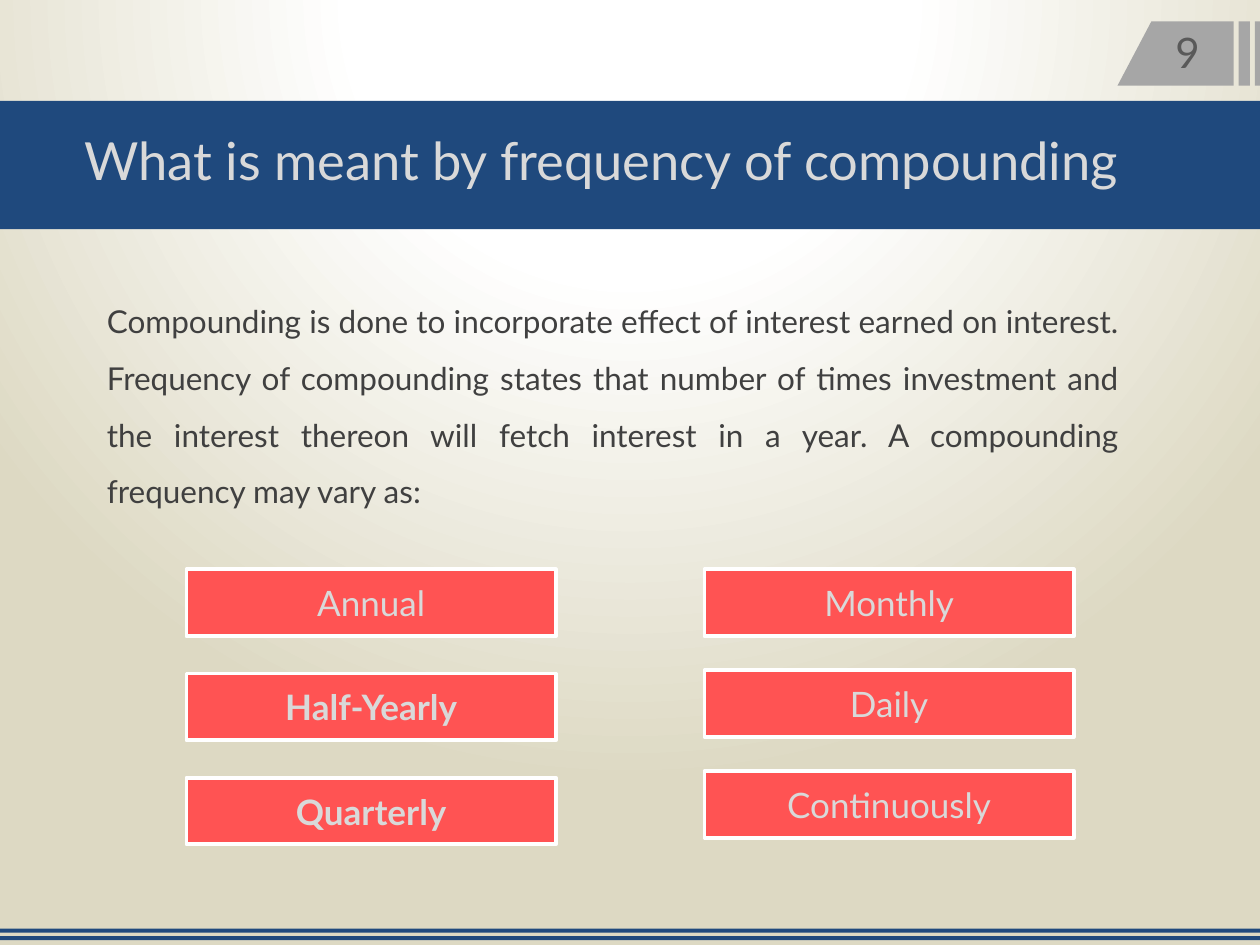
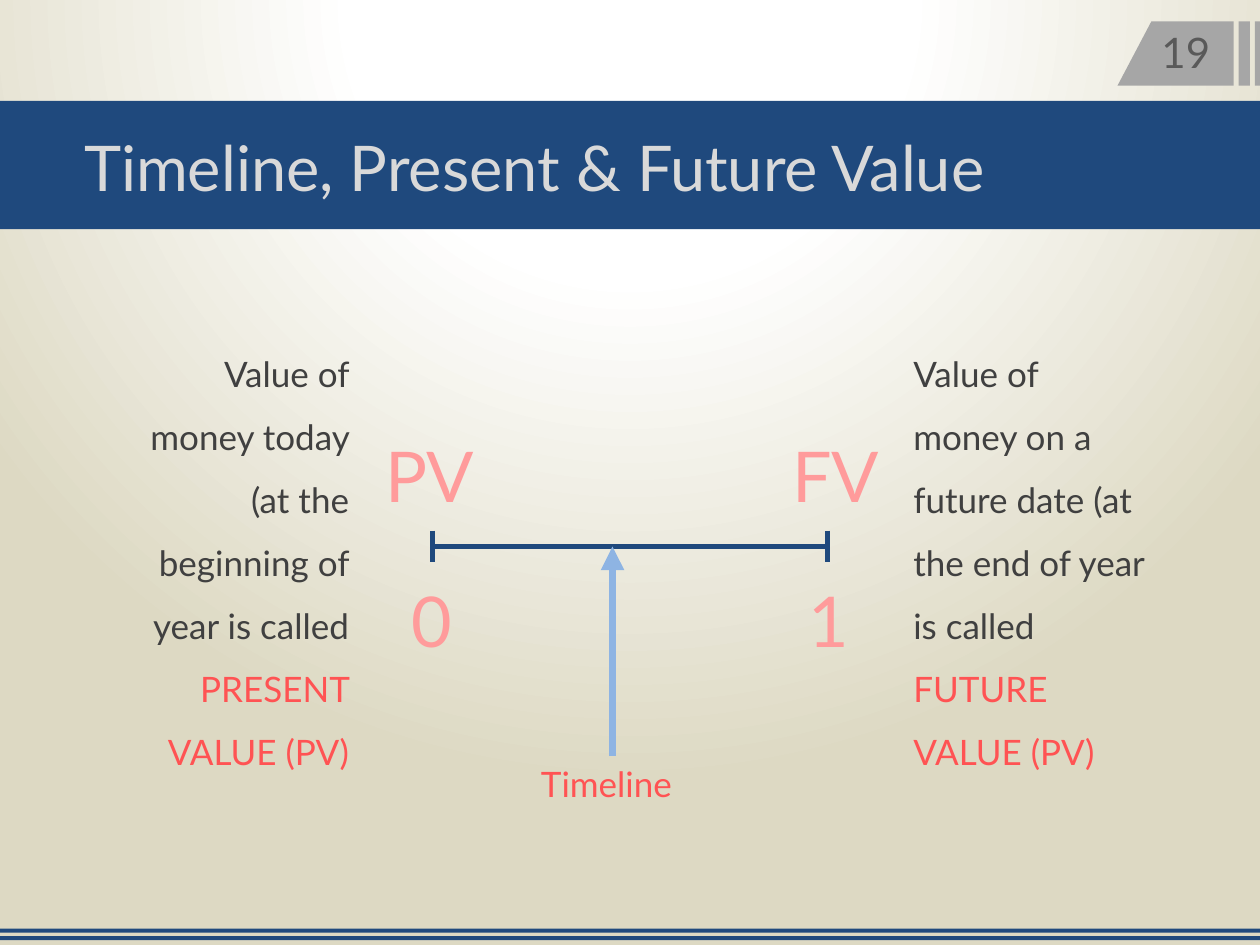
import pptx
import pptx.util
import pptx.dml.color
import pptx.enum.shapes
import pptx.enum.text
import pptx.oxml
import pptx.oxml.ns
from lxml import etree

Pt = pptx.util.Pt
RGB = pptx.dml.color.RGBColor.from_string
ALIGN = pptx.enum.text.PP_ALIGN
ANCHOR = pptx.enum.text.MSO_ANCHOR
RECT = pptx.enum.shapes.MSO_SHAPE.RECTANGLE
STRAIGHT = pptx.enum.shapes.MSO_CONNECTOR.STRAIGHT
qn = pptx.oxml.ns.qn

COLORS = {"navy": "1F497D", "tag": "A6A6A6", "title": "D9D9D9", "body": "404040",
          "number": "595959", "red": "FF5353", "pink": "FF9B9B", "sky": "8EB4E3",
          "white": "FFFFFF", "sand": "DDD9C3"}
WIDTH, HEIGHT = 720, 540


def write(sp, runs, size, align=ALIGN.LEFT, spacing=None, bold=None):
    """Fill one paragraph of sp with (text, colour name) runs."""
    tf = sp.text_frame
    tf.word_wrap = True
    p = tf.paragraphs[0]
    p.alignment = align
    p.line_spacing = spacing
    for text, color in runs:
        r = p.add_run()
        r.text = text
        for name, value in {"name": "Lato", "size": Pt(size), "bold": bold}.items():
            setattr(r.font, name, value)
        r.font.color.rgb = RGB(COLORS[color])


def add_line(s, x1, y1, x2, y2, color, width):
    line = s.shapes.add_connector(STRAIGHT, Pt(x1), Pt(y1), Pt(x2), Pt(y2))
    line.line.color.rgb = RGB(COLORS[color])
    line.line.width = Pt(width)
    etree.SubElement(line._element.spPr, qn("a:effectLst"))
    return line


prs = pptx.Presentation()
prs.slide_width, prs.slide_height = Pt(WIDTH), Pt(HEIGHT)

# Radial background, set on the master
prs.slide_master.background.fill.gradient()
grad = prs.slide_master._element.find(".//" + qn("p:bg")).find(".//" + qn("a:gradFill"))
for child in list(grad):
    grad.remove(child)
stops = etree.SubElement(grad, qn("a:gsLst"))
for pos, color in ((0, "white"), (35, "white"), (100, "sand")):
    stop = etree.SubElement(stops, qn("a:gs"), pos=str(pos * 1000))
    etree.SubElement(stop, qn("a:srgbClr"), val=COLORS[color])
glow = etree.SubElement(grad, qn("a:path"), path="circle")
etree.SubElement(glow, qn("a:fillToRect"), l="50000", t="-80000", r="50000", b="180000")

# Bands, footer rules, number tag and title of every slide
footer_rules = [[(0, y), (WIDTH, y), (WIDTH, y + 2.2), (0, y + 2.2)] for y in (530.7, 535)]
TAG_TOP, TAG_BOTTOM = 12.2, 49
number_tag = [[(left + slant, TAG_TOP), (right, TAG_TOP), (right, TAG_BOTTOM), (left, TAG_BOTTOM)]
              for left, right, slant in ((717.1, WIDTH, 0), (707.8, 714.2, 0), (638.6, 704.9, 19.4))]
headers = [("What is meant by frequency of compounding", 30, "9", 664.6, 32.4),
           ("Timeline, Present & Future Value", 36, "19", 656.6, 44)]
slides = []
for title, title_size, number, number_left, number_width in headers:
    s = prs.slides.add_slide(prs.slide_layouts[6])
    slides.append(s)
    decor = [(s.shapes.add_shape(RECT, 0, Pt(57.6), Pt(WIDTH), Pt(73.4)), "navy")]
    for outlines, color in ((footer_rules, "navy"), (number_tag, "tag")):
        x, y = outlines[0][0]
        builder = s.shapes.build_freeform(Pt(x), Pt(y))
        for outline in outlines:
            points = [(Pt(x), Pt(y)) for x, y in outline]
            if outline is not outlines[0]:
                builder.move_to(*points[0])
            builder.add_line_segments(points[1:], close=True)
        decor.append((builder.convert_to_shape(), color))
    for sp, color in decor:
        sp.shadow.inherit = False
        sp.fill.solid()
        sp.fill.fore_color.rgb = RGB(COLORS[color])
        sp.line.fill.background()
    sp = s.shapes.add_textbox(Pt(41), Pt(69.8), Pt(638), Pt(title_size * 1.44))
    write(sp, [(title, "title")], title_size)
    sp = s.shapes.add_textbox(Pt(number_left), Pt(11.5), Pt(number_width), Pt(36))
    write(sp, [(number, "number")], 24)

# Frequency of compounding
s = slides[0]
sp = s.shapes.add_textbox(Pt(54), Pt(158.4), Pt(592.6), Pt(134))
write(sp, [("Compounding is done to incorporate effect of interest earned on interest. "
            "Frequency of compounding states that number of times investment and the interest "
            "thereon will fetch interest in a year. A compounding frequency may vary as: ",
            "body")], 18, ALIGN.JUSTIFY, 1.5)
frequency_columns = [(106.6, 59.5, ("Annual", "Half-Yearly", "Quarterly")),
                     (402.6, 57.6, ("Monthly", "Daily", "Continuously"))]
for left, step, frequencies in frequency_columns:
    for row, frequency in enumerate(frequencies):
        sp = s.shapes.add_shape(RECT, Pt(left), Pt(325.4 + row * step), Pt(211), Pt(38.2))
        sp.shadow.inherit = False
        sp.fill.solid()
        sp.fill.fore_color.rgb = RGB(COLORS["red"])
        sp.line.color.rgb = RGB(COLORS["white"])
        sp.line.width = Pt(2.25)
        sp.text_frame.vertical_anchor = ANCHOR.MIDDLE
        write(sp, [(frequency, "title")], 20, ALIGN.CENTER,
              bold=frequency in ("Half-Yearly", "Quarterly"))

# Timeline with present and future value
s = slides[1]
AXIS_START, AXIS_END, AXIS_Y = 247, 473, 312.3
add_line(s, AXIS_START, AXIS_Y, AXIS_END, AXIS_Y, "navy", 3)
for x in (AXIS_START, AXIS_END):
    add_line(s, x, AXIS_Y - 9, x, AXIS_Y + 9, "navy", 3)

axis_labels = [("0", 228.2, 326.2, 31), ("1", 455, 326.2, 31),
               ("PV", 213.1, 243.4, 76.3), ("FV", 445.7, 243.4, 74.9)]
for text, left, top, width in axis_labels:
    sp = s.shapes.add_textbox(Pt(left), Pt(top), Pt(width), Pt(55.4))
    write(sp, [(text, "pink")], 40)

definitions = [
    (57.6, ALIGN.RIGHT, "Value of money today (at the beginning of year is called ", "PRESENT VALUE (PV)"),
    (514.8, ALIGN.LEFT, "Value of money on a future date (at the end of year is called ", "FUTURE VALUE (PV)")]
for left, align, meaning, term in definitions:
    sp = s.shapes.add_textbox(Pt(left), Pt(185.8), Pt(149), Pt(220.3))
    write(sp, [(meaning, "body"), (term, "red")], 20, align, 1.5)

timeline = s.shapes.add_textbox(Pt(302), Pt(432), Pt(96), Pt(31.7))
write(timeline, [("Timeline", "red")], 20)
arrow = add_line(s, 350, 432, 350, AXIS_Y, "sky", 4.5)
arrow.begin_connect(timeline, 0)
etree.SubElement(arrow.line._get_or_add_ln(), qn("a:tailEnd"), type="triangle")

prs.save("out.pptx")
